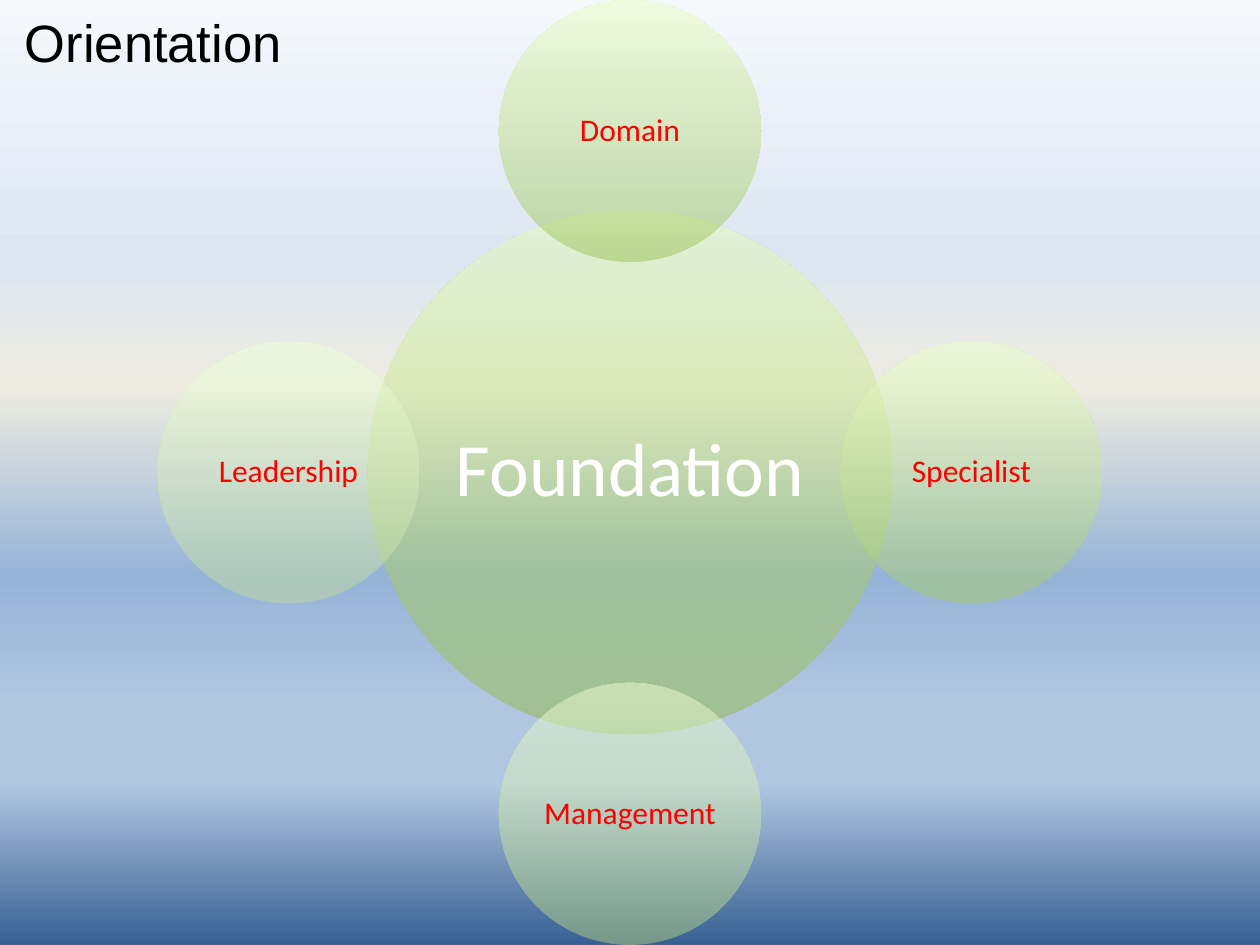
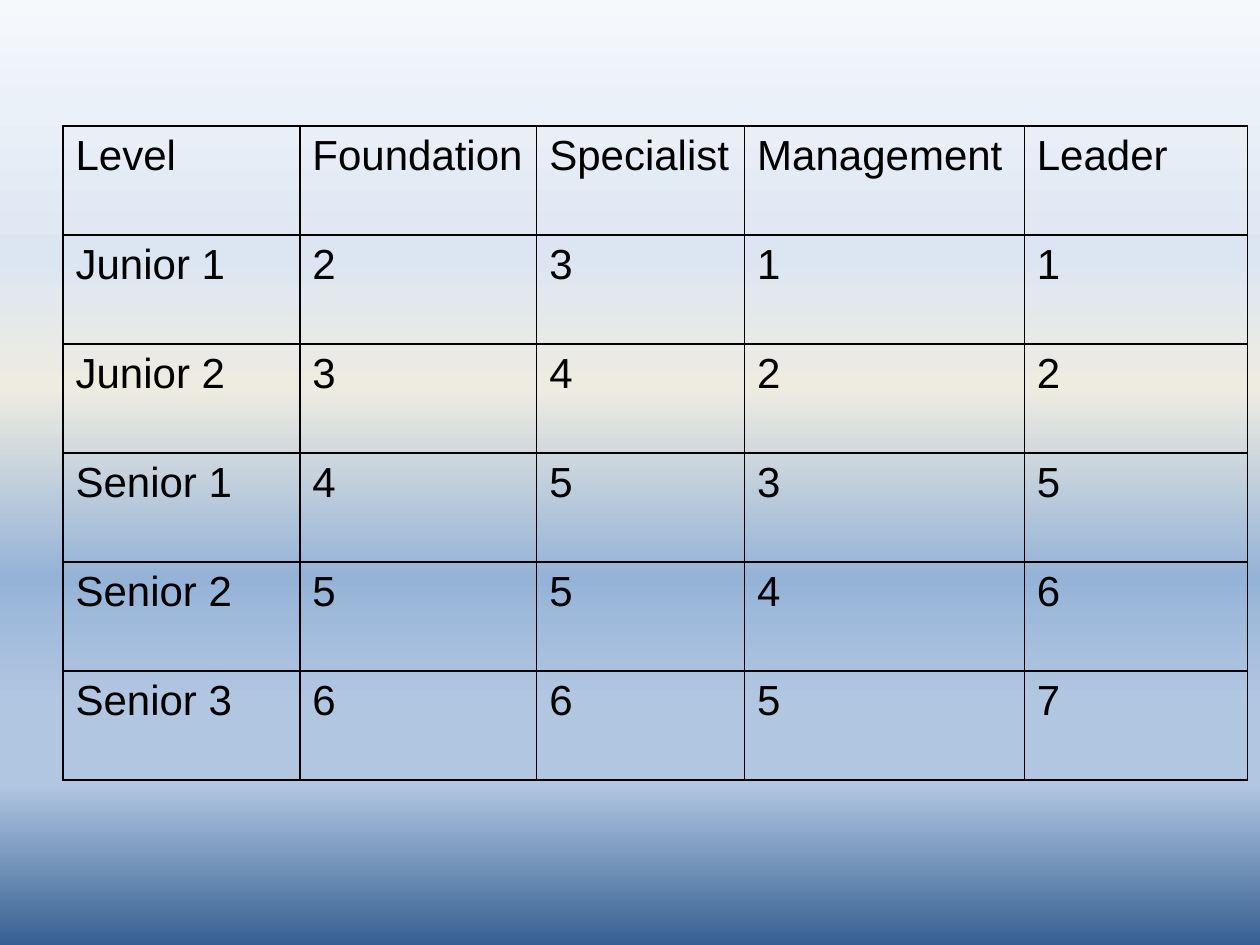
from pptx import Presentation
from pptx import util as u
from pptx.dml.color import RGBColor
from pptx.enum import shapes, text
from pptx.oxml import ns
from lxml import etree

# Content
TITLE = "Orientation"
HUB = ("Foundation", "90B842", "E8FFBB")
# name, bottom colour, top colour, direction from the hub
RING = [
    ("Domain", "9AC256", "E9FFC3", (0, -1)),
    ("Specialist", "A7CA6D", "EAFFCB", (1, 0)),
    ("Management", "B3D185", "EEFFD3", (0, 1)),
    ("Leadership", "C1DA9C", "EEFFDB", (-1, 0)),
]
LEVELS = [
    ("Level", "Foundation", "Specialist", "Management", "Leader"),
    ("Junior 1", 2, 3, 1, 1),
    ("Junior 2", 3, 4, 2, 2),
    ("Senior 1", 4, 5, 3, 5),
    ("Senior 2", 5, 5, 4, 6),
    ("Senior 3", 6, 6, 5, 7),
]

# Shared look
BLACK = RGBColor(0, 0, 0)
WHITE = RGBColor(255, 255, 255)
RED = RGBColor(255, 0, 0)
SKY = [(0, "F6F9FC"), (11, "EBF1F8"), (27, "DCE6F2"), (41, "EEECE1"),
       (61, "95B3D7"), (74, "B0C6E1"), (83, "B0C6E1"), (100, "376092")]
HEAD = {"size": u.Pt(30), "name": "Arial", "color": BLACK}
CELL = {"size": u.Pt(24), "name": "Arial", "color": BLACK}
CORE = {"size": u.Pt(43), "name": "Calibri", "color": WHITE}
NODE = {"size": u.Pt(18), "name": "Calibri", "color": RED}

# Layout in inches
WIDE, HIGH = 10, 7.5
MID = (WIDE / 2, HIGH / 2)
BIG, SMALL = 4.16, 2.08
REACH = (HIGH - SMALL) / 2
INNER = 0.5 ** 0.5  # side of the square inside a circle of diameter 1
COLS = [1.88, 1.88, 1.65, 2.22, 1.77]
ROW = 0.865


def add_el(par, tag, **attrs):
    return etree.SubElement(par, ns.qn(tag), **attrs)


def blend(owner, fill, stops, angle, alpha=100):
    """Give a fill a linear gradient, angle clockwise in degrees."""
    fill.gradient()
    grad = owner.find(".//" + ns.qn("a:gradFill"))
    for child in list(grad):
        grad.remove(child)
    items = add_el(grad, "a:gsLst")
    for pos, tint in stops:
        stop = add_el(items, "a:gs", pos=str(pos * 1000))
        color = add_el(stop, "a:srgbClr", val=tint)
        if alpha < 100:
            add_el(color, "a:alpha", val=str(alpha * 1000))
    add_el(grad, "a:lin", ang=str(angle * 60000), scaled="0")


def write(frame, words, style, **para):
    p = frame.paragraphs[0]
    for key, val in para.items():
        setattr(p, key, val)
    run = p.add_run()
    run.text = str(words)
    for key, val in style.items():
        if key == "color":
            run.font.color.rgb = val
        else:
            setattr(run.font, key, val)
    return p


def add_text(parent, box, inset, words, style, **para):
    frame = parent.add_textbox(*map(u.Inches, box)).text_frame
    frame.word_wrap = True
    frame.vertical_anchor = text.MSO_ANCHOR.MIDDLE
    for side in ("left", "top", "right", "bottom"):
        setattr(frame, "margin_" + side, u.Inches(inset))
    return write(frame, words, style, **para)


def square(mid, side):
    return mid[0] - side / 2, mid[1] - side / 2, side, side


def add_disc(parent, mid, size, name, low, top, style, inset, after):
    disc = parent.add_shape(shapes.MSO_SHAPE.OVAL,
                            *map(u.Inches, square(mid, size)))
    disc.shadow.inherit = False
    disc.line.fill.background()
    blend(disc.element, disc.fill, [(0, low), (100, top)], 270, 50)
    add_text(parent, square(mid, size * INNER), inset, name, style,
             alignment=text.PP_ALIGN.CENTER, line_spacing=0.9,
             space_after=u.Pt(after))


def frame_cell(cell):
    """Clear the fill and draw a thin black line on each side."""
    cell.fill.background()
    props = cell._tc.get_or_add_tcPr()
    for spot, side in enumerate("LRTB"):
        line = etree.Element(ns.qn("a:ln" + side), w=str(u.Pt(1)))
        add_el(add_el(line, "a:solidFill"), "a:srgbClr", val=str(BLACK))
        props.insert(spot, line)


def add_slide(deck):
    slide = deck.slides.add_slide(deck.slide_layouts[6])
    blend(slide.element, slide.background.fill, SKY, 90)
    return slide


deck = Presentation()
deck.slide_width, deck.slide_height = u.Inches(WIDE), u.Inches(HIGH)

# Slide 1: hub with four discs around it
slide = add_slide(deck)
head = add_text(slide.shapes, (0, 0.08, 6.67, 0.5), 0.1, TITLE, HEAD)
head._p.get_or_add_pPr().set("marL", str(u.Inches(0.1)))
wheel = slide.shapes.add_group_shape().shapes
add_disc(wheel, MID, BIG, *HUB, CORE, 0.06, 15.1)
for name, low, top, way in RING:
    spot = [m + REACH * d for m, d in zip(MID, way)]
    add_disc(wheel, spot, SMALL, name, low, top, NODE, 0.02, 6.3)

# Slide 2: table of levels
slide = add_slide(deck)
size = (0.5, 1, sum(COLS), ROW * len(LEVELS))
table = slide.shapes.add_table(len(LEVELS), len(COLS),
                               *map(u.Inches, size)).table
table.first_row = table.horz_banding = False
for col, width in zip(table.columns, COLS):
    col.width = u.Inches(width)
for row, values in zip(table.rows, LEVELS):
    row.height = u.Inches(ROW)
    for cell, value in zip(row.cells, values):
        frame_cell(cell)
        write(cell.text_frame, value, CELL)

deck.save("out.pptx")
